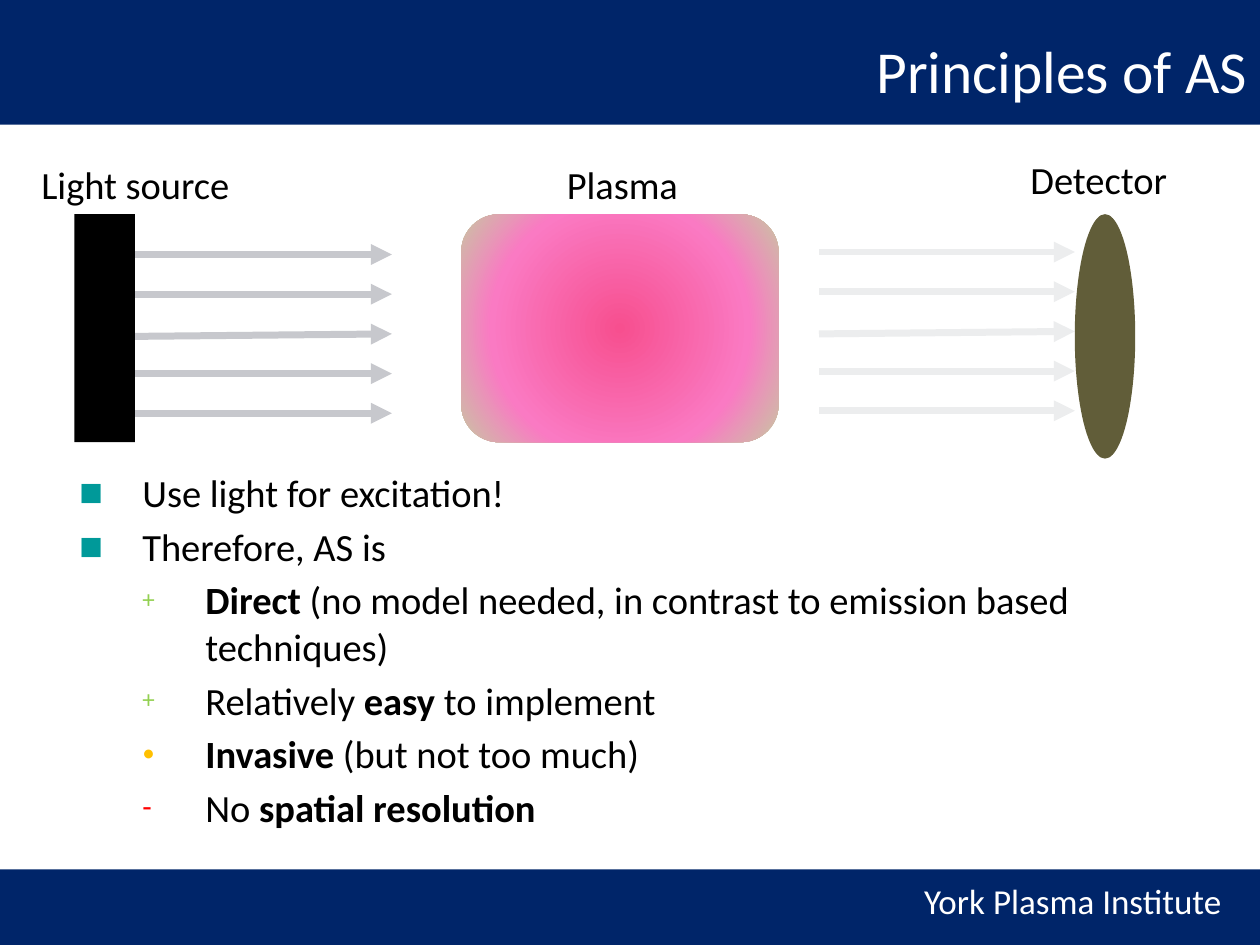
from lxml import etree
from pptx import Presentation
from pptx import util as u
from pptx.dml.color import RGBColor
from pptx.enum import shapes, text
from pptx.oxml import parse_xml
from pptx.oxml.ns import nsdecls, qn

NAVY, WHITE, BLACK = "002569", "FFFFFF", "000000"
TEAL, GREEN, AMBER, RED = "009999", "92D050", "FFC000", "FF0000"
SHAPE = shapes.MSO_SHAPE
BULLETS = [
    (0, "■", TEAL, 65, [("Use light for excitation!", False)]),
    (0, "■", TEAL, 65, [("Therefore, AS is", False)]),
    (1, "+", GREEN, 65, [("Direct", True),
     (" (no model needed, in contrast to emission based techniques)", False)]),
    (1, "+", GREEN, 65, [("Relatively ", False), ("easy", True), (" to implement", False)]),
    (1, "•", AMBER, 65, [("Invasive", True), (" (but not too much)", False)]),
    (1, "-", RED, 80, [("No ", False), ("spatial resolution", True)]),
]


def color(value):
    return RGBColor.from_string(value)


def inches(box):
    return [u.Inches(length) for length in box]


def place(holder, box):
    holder.left, holder.top, holder.width, holder.height = inches(box)


def add_span(para, words, size=22, fill=BLACK, bold=False):
    span = para.add_run()
    span.text = words
    span.font.name = "Calibri"
    span.font.size = u.Pt(size)
    span.font.bold = bold
    span.font.color.rgb = color(fill)


def add_text(page, words, box, indent=0, wrap=True, align=None, **style):
    frame = page.shapes.add_textbox(*inches(box)).text_frame
    frame.word_wrap = wrap
    para = frame.paragraphs[0]
    para.alignment = align
    para._p.get_or_add_pPr().set("marL", str(u.Inches(indent)))
    add_span(para, words, **style)
    return frame


def add_block(page, kind, box, fill):
    shape = page.shapes.add_shape(kind, *inches(box))
    shape.shadow.inherit = False
    shape.line.fill.background()
    shape.fill.solid()
    shape.fill.fore_color.rgb = color(fill)
    return shape


def add_arrow(page, start, end, stroke):
    arrow = page.shapes.add_connector(shapes.MSO_CONNECTOR.STRAIGHT, *inches(start + end))
    arrow.line.width = u.Pt(4)
    arrow.line.color.rgb = color(stroke)
    etree.SubElement(arrow.line._get_or_add_ln(), qn("a:tailEnd"), type="triangle")
    etree.SubElement(arrow._element.spPr, qn("a:effectLst"))


def add_rays(page, box, stroke, count=5):
    left, top, width, height = box
    for index in range(count):
        y = top + index * height / (count - 1)
        tilt = 0.02 if index == count // 2 else 0
        add_arrow(page, (left, y + tilt), (left + width, y), stroke)


def add_plasma(page, box):
    plasma = add_block(page, SHAPE.ROUNDED_RECTANGLE, box, WHITE)
    stops = "".join(
        f'<a:gs pos="{position * 1000}"><a:srgbClr val="{value}"/></a:gs>'
        for position, value in [(0, "F74F8F"), (66, "FA7AC3"), (100, "C8C6A2")])
    gradient = parse_xml(
        f'<a:gradFill {nsdecls("a")} rotWithShape="1"><a:gsLst>{stops}</a:gsLst>'
        '<a:path path="circle"><a:fillToRect l="50000" t="50000" r="50000" b="50000"/>'
        '</a:path></a:gradFill>')
    properties = plasma._element.spPr
    properties.replace(properties.find(qn("a:solidFill")), gradient)


def add_header(page, box):
    left, top, width, height = box
    add_block(page, SHAPE.RECTANGLE, box, NAVY)
    title = page.shapes.title
    place(title, (left + 2.8, top + 0.05, width - 2.8, 0.8))
    page.shapes._spTree.append(title._element)
    frame = title.text_frame
    frame.auto_size = text.MSO_AUTO_SIZE.NONE
    frame.vertical_anchor = text.MSO_ANCHOR.TOP
    para = frame.paragraphs[0]
    para.alignment = text.PP_ALIGN.RIGHT
    para.line_spacing = 1.3
    add_span(para, "Principles of AS", size=34, fill=WHITE)


def add_footer(page, box):
    left, top, width, height = box
    add_block(page, SHAPE.RECTANGLE, box, NAVY)
    frame = add_text(page, "York Plasma Institute", (left + 7.2, top + 0.03, 2.63, 0.44),
                     wrap=False, align=text.PP_ALIGN.CENTER, size=20, fill=WHITE)
    frame.vertical_anchor = text.MSO_ANCHOR.MIDDLE


def add_diagram(page, box):
    left, top, width, height = box
    body = top + 0.51
    add_rays(page, (left + 0.48, top + 0.83, 2.04, 1.26), "C7C8CD")
    add_plasma(page, (left + 3.07, body, 2.52, 1.81))
    add_rays(page, (left + 5.91, top + 0.81, 2.03, 1.26), "ECEDEE")
    add_block(page, SHAPE.RECTANGLE, (left, body, 0.48, 1.81), BLACK)
    add_block(page, SHAPE.OVAL, (left + width - 0.48, body, 0.48, height - 0.51), "615D39")
    for words, x, y in [("Light source", -0.86, 0.04), ("Detector", 6.99, 0),
                        ("Plasma", 3.31, 0.04)]:
        add_text(page, words, (left + x, top + y, 2.44, 0.47), indent=0.5)


def add_bullets(page, box):
    body = page.placeholders[1]
    place(body, box)
    frame = body.text_frame
    frame.auto_size = text.MSO_AUTO_SIZE.NONE
    for index, (level, mark, tint, size, spans) in enumerate(BULLETS):
        para = frame.add_paragraph() if index else frame.paragraphs[0]
        para.level = level
        para.space_before = u.Pt(4.4)
        props = para._p.get_or_add_pPr()
        props.set("marL", str(u.Inches(1 + level / 2)))
        props.set("indent", str(u.Inches(-0.5)))
        tone = etree.SubElement(props, qn("a:buClr"))
        etree.SubElement(tone, qn("a:srgbClr"), val=tint)
        etree.SubElement(props, qn("a:buSzPct"), val=str(size * 1000))
        etree.SubElement(props, qn("a:buFont"), typeface="Calibri")
        etree.SubElement(props, qn("a:buChar"), char=mark)
        for words, bold in spans:
            add_span(para, words, bold=bold)


def main():
    deck = Presentation()
    deck.slide_width, deck.slide_height = u.Inches(10), u.Inches(7.5)
    page = deck.slides.add_slide(deck.slide_layouts[1])
    add_footer(page, (0, 6.9, 10, 0.6))
    add_header(page, (0, 0, 10, 0.99))
    add_diagram(page, (0.59, 1.19, 8.42, 2.45))
    add_bullets(page, (0.03, 3.67, 9.22, 3.06))
    deck.save("out.pptx")


if __name__ == "__main__":
    main()
